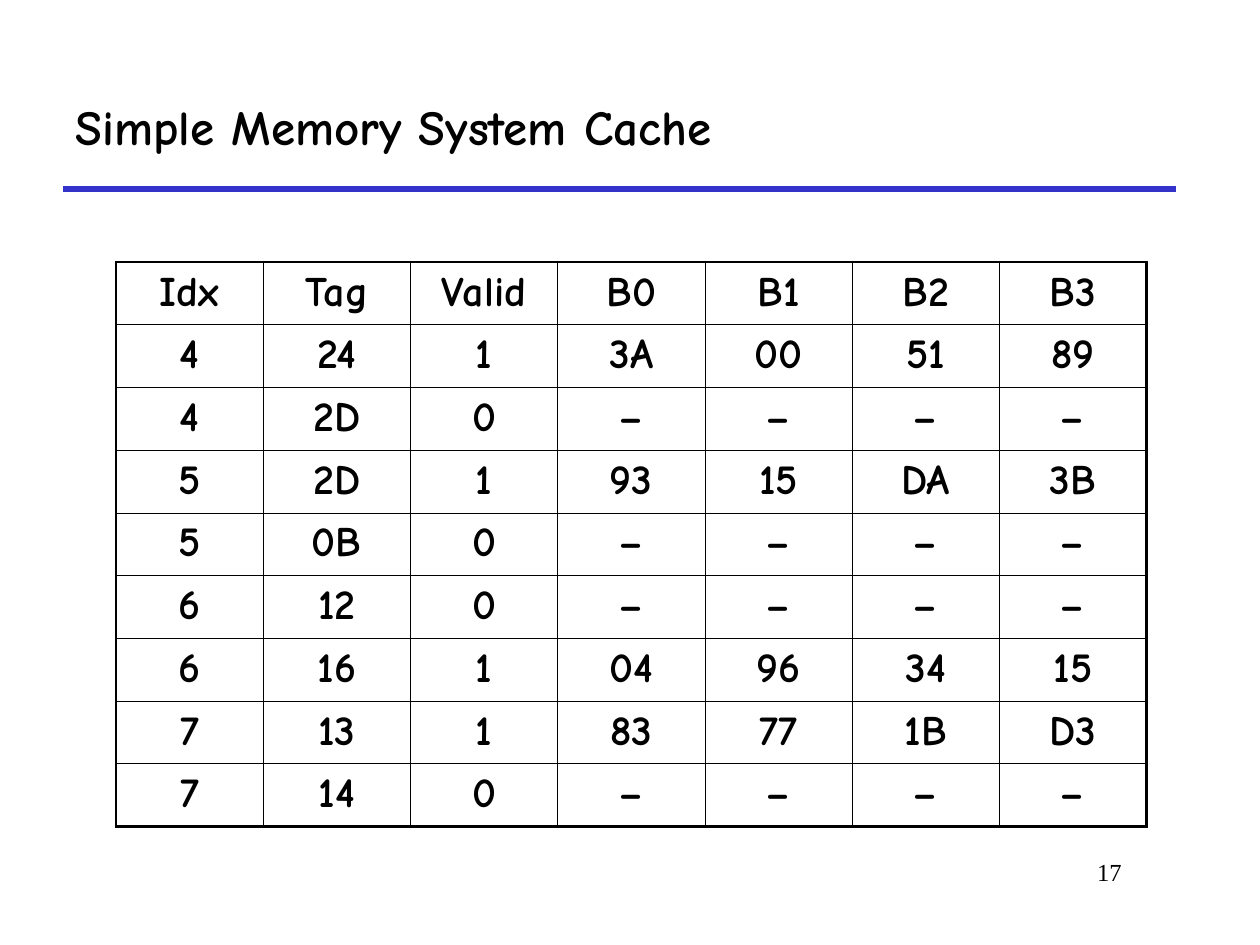
from lxml.etree import SubElement
from pptx import Presentation
from pptx.dml.color import RGBColor
from pptx.enum.shapes import MSO_CONNECTOR
from pptx.enum.text import MSO_ANCHOR, MSO_AUTO_SIZE, PP_ALIGN
from pptx.oxml.ns import qn
from pptx.util import Inches, Pt

COLORS = {"ink": "000000", "rule": "3333CC"}
HEADING_FONT = "Comic Neue"
NUMBER_FONT = "Times New Roman"
THIN, THICK = 0.45, 1.47

CACHE_ROWS = [
    "Idx Tag Valid B0 B1 B2 B3",
    "4 24 1 3A 00 51 89",
    "4 2D 0 – – – –",
    "5 2D 1 93 15 DA 3B",
    "5 0B 0 – – – –",
    "6 12 0 – – – –",
    "6 16 1 04 96 34 15",
    "7 13 1 83 77 1B D3",
    "7 14 0 – – – –",
]


class SlideBuilder:
    def __init__(self, page):
        self.page = page

    def style(self, para, size, font=HEADING_FONT, bold=True, align=PP_ALIGN.LEFT):
        para.alignment = align
        para.font.name = font
        para.font.size = Pt(size)
        para.font.bold = bold
        para.font.color.rgb = RGBColor.from_string(COLORS["ink"])

    def title(self, text, left, top, width, height):
        box = self.page.shapes.title
        box.left, box.top = Inches(left), Inches(top)
        box.width, box.height = Inches(width), Inches(height)
        frame = box.text_frame
        frame.text = text
        frame.auto_size = MSO_AUTO_SIZE.NONE
        frame.vertical_anchor = MSO_ANCHOR.MIDDLE
        self.style(frame.paragraphs[0], 28)

    def rule(self, left, right, y):
        line = self.page.shapes.add_connector(
            MSO_CONNECTOR.STRAIGHT, Inches(left), Inches(y), Inches(right), Inches(y))
        line.line.color.rgb = RGBColor.from_string(COLORS["rule"])
        line.line.width = Pt(3)
        SubElement(line._element.spPr, qn("a:effectLst"))

    def page_number(self, text, left, top, width, height):
        box = self.page.shapes.add_textbox(
            Inches(left), Inches(top), Inches(width), Inches(height))
        box.text_frame.word_wrap = True
        box.text_frame.text = text
        self.style(box.text_frame.paragraphs[0], 14, NUMBER_FONT, False, PP_ALIGN.RIGHT)

    def border(self, cell, side, width):
        edge = SubElement(cell._tc.get_or_add_tcPr(), qn(f"a:ln{side}"), w=str(Pt(width)))
        fill = SubElement(edge, qn("a:solidFill"))
        SubElement(fill, qn("a:srgbClr"), val=COLORS["ink"])

    def table(self, rows, left, top, width, height):
        last_row, last_column = len(rows) - 1, len(rows[0]) - 1
        table = self.page.shapes.add_table(
            len(rows), len(rows[0]), Inches(left), Inches(top),
            Inches(width), Inches(height)).table
        table.first_row = table.horz_banding = False
        for r, values in enumerate(rows):
            for c, value in enumerate(values):
                cell = table.cell(r, c)
                cell.text = value
                cell.margin_left = cell.margin_right = Inches(0.1)
                cell.margin_top = cell.margin_bottom = Inches(0.05)
                self.style(cell.text_frame.paragraphs[0], 24, align=PP_ALIGN.CENTER)
                # Thick outer frame, thin inner grid
                outer = {"L": c == 0, "R": c == last_column,
                         "T": r == 0, "B": r == last_row}
                for side, is_outer in outer.items():
                    self.border(cell, side, THICK if is_outer else THIN)
                cell.fill.background()


def main():
    deck = Presentation()
    deck.slide_width, deck.slide_height = Inches(10), Inches(7.5)
    builder = SlideBuilder(deck.slides.add_slide(deck.slide_layouts[5]))

    # Heading and rule
    builder.rule(0.5, 9.33, 1.5)
    builder.title("Simple Memory System Cache", 0.5, 0.5, 8.83, 1)

    # Cache contents
    builder.table([row.split() for row in CACHE_ROWS], 0.92, 2.08, 8.18, 4.48)

    # Page number
    builder.page_number("17", 7.58, 6.75, 1.42, 0.5)

    deck.save("out.pptx")


if __name__ == "__main__":
    main()
